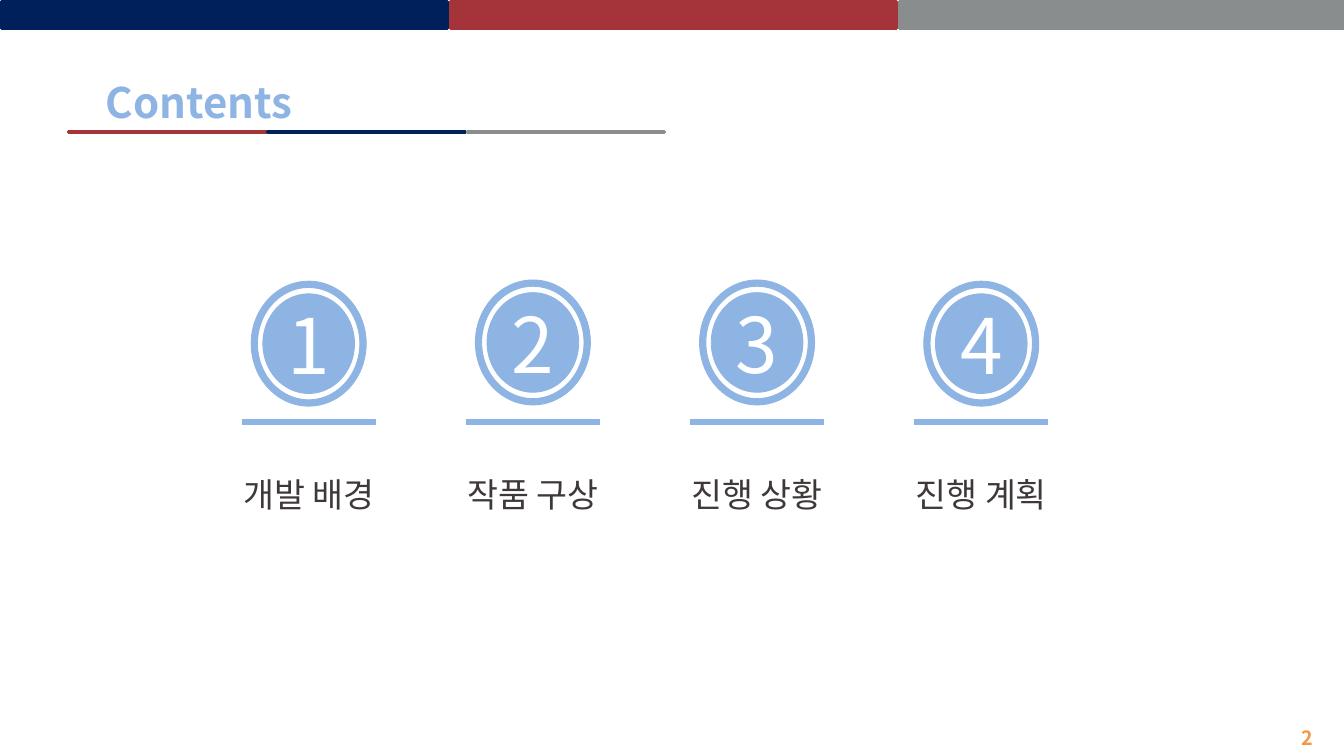
from lxml import etree
from pptx import Presentation
from pptx.dml.color import RGBColor
from pptx.enum.shapes import MSO_SHAPE
from pptx.enum.text import MSO_ANCHOR, PP_ALIGN
from pptx.oxml.ns import qn
from pptx.util import Cm, Pt

RECTANGLE, OVAL, DONUT = MSO_SHAPE.RECTANGLE, MSO_SHAPE.OVAL, MSO_SHAPE.DONUT
TOP, MIDDLE = MSO_ANCHOR.TOP, MSO_ANCHOR.MIDDLE
LEFT, CENTER = PP_ALIGN.LEFT, PP_ALIGN.CENTER

TITLE = "Contents"
PAGE_NUMBER = "2"
CHAPTERS = ["개발 배경", "작품 구상", "진행 상황", "진행 계획"]
FONT = "Noto Sans CJK KR"
COLORS = {
    "navy": "00205B", "red": "A4343A", "gray": "898D8D", "sky": "8EB4E3",
    "orange": "F79646", "ink": "3E3938", "white": "FFFFFF",
}
HEADER_COLORS = ["navy", "red", "gray"]
UNDERLINE_COLORS = ["red", "navy", "gray"]

FIRST_CENTER, CHAPTER_PITCH = 7.78, 5.65
BADGE_MIDDLES = [8.66, 8.63, 8.63, 8.66]
RING_SIZE = (2.9, 3.15)
DISC_SIZE = (2.31, 2.51)
RING_THICKNESS = 0.16
BAR_TOP, BAR_SIZE = 10.57, (3.35, 0.13)
LABEL_TOP, LABEL_SIZE = 11.53, (3.71, 1.83)


def color(name):
    return RGBColor.from_string(COLORS[name])


def add_block(slide, kind, left, top, width, height, color_name, line_width):
    shape = slide.shapes.add_shape(kind, Cm(left), Cm(top), Cm(width), Cm(height))
    shape.shadow.inherit = False
    shape.fill.solid()
    shape.fill.fore_color.rgb = color(color_name)
    shape.line.color.rgb = color(color_name)
    shape.line.width = Pt(line_width)
    return shape


def add_centered(slide, kind, center, middle, size, color_name="sky", line_width=0.6):
    width, height = size
    return add_block(slide, kind, center - width / 2, middle - height / 2,
                     width, height, color_name, line_width)


def write(shape, text, size, color_name, bold=False, align=LEFT, anchor=TOP,
          side_inset=0.25, top_inset=0.13, wrap=True):
    frame = shape.text_frame
    frame.word_wrap = wrap
    frame.vertical_anchor = anchor
    frame.margin_left = frame.margin_right = Cm(side_inset)
    frame.margin_top = frame.margin_bottom = Cm(top_inset)
    frame.text = text
    paragraph = frame.paragraphs[0]
    paragraph.alignment = align
    font = paragraph.font
    font.size = Pt(size)
    font.bold = bold
    font.color.rgb = color(color_name)
    font.name = FONT
    properties = paragraph._p.pPr.find(qn("a:defRPr"))
    etree.SubElement(properties, qn("a:ea")).set("typeface", FONT)


def add_strip(slide, color_names, left, top, width, height, pitch):
    for index, color_name in enumerate(color_names):
        add_block(slide, RECTANGLE, left + index * pitch, top, width, height, color_name, 2)


def add_chapter(slide, number, label, center, middle):
    disc = add_centered(slide, OVAL, center, middle, DISC_SIZE)
    write(disc, str(number), 54.7, "white", align=CENTER, anchor=MIDDLE,
          side_inset=0, top_inset=0, wrap=False)
    ring = add_centered(slide, DONUT, center, middle, RING_SIZE)
    ring.adjustments[0] = RING_THICKNESS / min(RING_SIZE)
    add_centered(slide, RECTANGLE, center, BAR_TOP + BAR_SIZE[1] / 2, BAR_SIZE)
    width, height = LABEL_SIZE
    box = slide.shapes.add_textbox(Cm(center - width / 2), Cm(LABEL_TOP), Cm(width), Cm(height))
    write(box, label, 24, "ink", align=CENTER, anchor=MIDDLE, side_inset=0.1, top_inset=0)


def main():
    presentation = Presentation()
    presentation.slide_width, presentation.slide_height = Cm(33.87), Cm(19.05)
    slide = presentation.slides.add_slide(presentation.slide_layouts[5])

    add_strip(slide, HEADER_COLORS, 0.03, 0.03, 11.25, 0.69, 11.32)
    add_strip(slide, UNDERLINE_COLORS, 1.73, 3.31, 4.98, 0.03, 5.02)

    title = slide.shapes.title
    title.left, title.top, title.width, title.height = Cm(2.41), Cm(1.8), Cm(6.25), Cm(1.55)
    write(title, TITLE, 30, "sky", bold=True)

    page = slide.shapes.add_textbox(Cm(32.54), Cm(18.16), Cm(1.24), Cm(0.74))
    write(page, PAGE_NUMBER, 14, "orange", bold=True)

    for index, (label, middle) in enumerate(zip(CHAPTERS, BADGE_MIDDLES)):
        add_chapter(slide, index + 1, label, FIRST_CENTER + index * CHAPTER_PITCH, middle)

    presentation.save("out.pptx")


if __name__ == "__main__":
    main()
